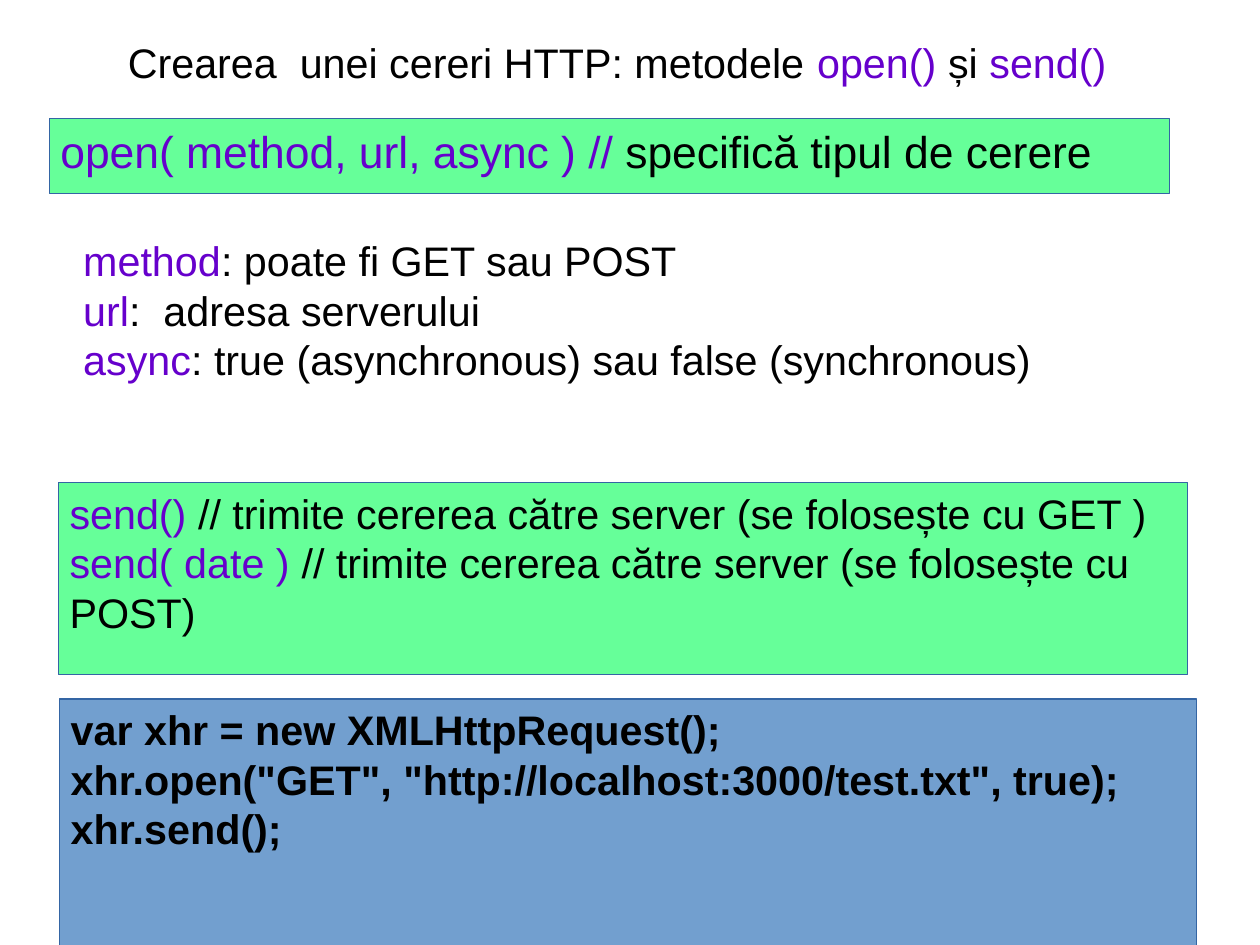
from dataclasses import dataclass

from pptx import Presentation
from pptx.dml.color import RGBColor as RGB
from pptx.enum.shapes import MSO_SHAPE as SHAPE
from pptx.enum.text import MSO_ANCHOR as ANCHOR, MSO_AUTO_SIZE as FIT, PP_ALIGN as ALIGN
from pptx.util import Cm, Inches, Pt


@dataclass(frozen=True)
class Theme:
    font: str = "Arial"
    body: int = 26
    large: int = 28
    ink: str = "000000"
    code: str = "6600CC"
    green: str = "66FF99"
    blue: str = "729FCF"
    border: str = "3465A4"


THEME = Theme()
CELL = Inches(0.1)


def grid(*cells):
    return [round(n * CELL) for n in cells]


def code(text):
    return text, THEME.code


def plain(text):
    return text, THEME.ink


def write(s, lines, size=THEME.body, bold=False, wrap=True, fit=FIT.NONE):
    tf = s.text_frame
    tf.word_wrap = wrap
    tf.auto_size = fit
    tf.vertical_anchor = ANCHOR.TOP
    for i, line in enumerate(lines):
        p = tf.add_paragraph() if i else tf.paragraphs[0]
        p.alignment = ALIGN.LEFT
        for text, color in line:
            r = p.add_run()
            r.text = text
            r.font.name = THEME.font
            r.font.size = Pt(size)
            r.font.bold = bold
            r.font.color.rgb = RGB.from_string(color)


def label(slide, cells, lines, **fmt):
    s = slide.shapes.add_textbox(*grid(*cells))
    write(s, lines, **fmt)


def panel(slide, cells, fill, lines, **fmt):
    s = slide.shapes.add_shape(SHAPE.RECTANGLE, *grid(*cells))
    s.shadow.inherit = False
    s.fill.solid()
    s.fill.fore_color.rgb = RGB.from_string(fill)
    s.line.color.rgb = RGB.from_string(THEME.border)
    s.line.width = Pt(0)
    write(s, lines, **fmt)


def main():
    prs = Presentation()
    prs.slide_width, prs.slide_height = Cm(28), Cm(21)
    slide = prs.slides.add_slide(prs.slide_layouts[6])

    label(slide, (10.2, 2.8, 87.7, 5), [
        [plain("Crearea  unei cereri HTTP: metodele "), code("open() "),
         plain("și "), code("send()")],
    ], wrap=False, fit=FIT.SHAPE_TO_FIT_TEXT)

    panel(slide, (4.3, 10.35, 98, 6.6), THEME.green, [
        [code("open( method, url, async ) // "), plain("specifică tipul de cerere")],
    ], size=THEME.large)

    label(slide, (6.3, 20.1, 86.6, 23.2), [
        [code("method"), plain(": poate fi GET sau POST")],
        [code("url"), plain(":  adresa serverului")],
        [code("async"), plain(": true (asynchronous) sau false (synchronous)")],
    ])

    panel(slide, (5.1, 42.2, 98.8, 16.8), THEME.green, [
        [code("send()"),
         plain(" // trimite cererea către server (se folosește cu GET )")],
        [code("send( date ) "),
         plain("// trimite cererea către server (se folosește cu POST)")],
    ])

    panel(slide, (5.2, 61.15, 99.5, 23.2), THEME.blue, [
        [plain("var xhr = new XMLHttpRequest();")],
        [plain('xhr.open("GET", "http://localhost:3000/test.txt", true);')],
        [plain("xhr.send();")],
    ], bold=True)

    prs.save("out.pptx")


if __name__ == "__main__":
    main()
